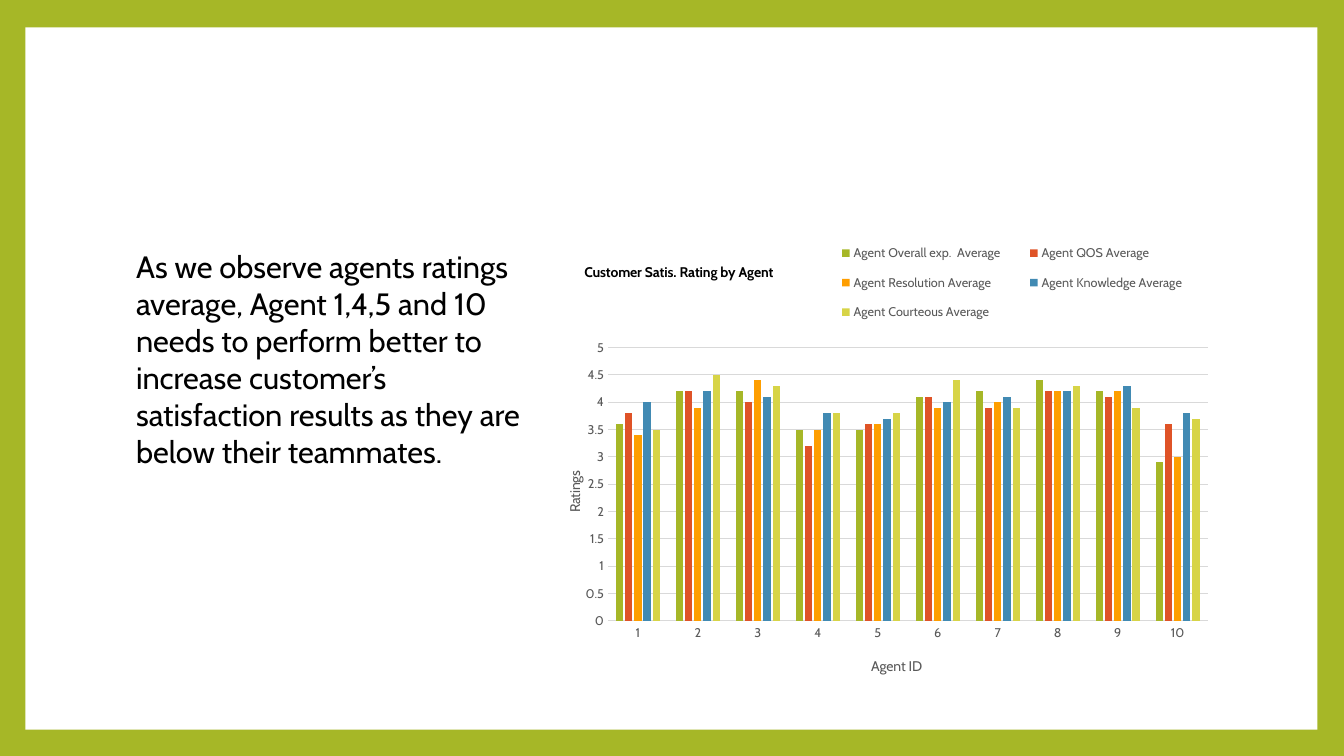
from lxml.etree import SubElement as Sub
from pptx import Presentation
from pptx.chart.data import CategoryChartData as Data
from pptx.dml.color import RGBColor as RGB
from pptx.enum.chart import XL_CHART_TYPE as Kind
from pptx.enum.chart import XL_LEGEND_POSITION as Place
from pptx.enum.chart import XL_TICK_MARK as Tick
from pptx.enum.shapes import MSO_SHAPE as Form
from pptx.oxml import parse_xml
from pptx.oxml.ns import nsdecls, qn
from pptx.util import Cm, Pt

LIME = RGB(0xA6, 0xB7, 0x27)
RED = RGB(0xDF, 0x53, 0x27)
AMBER = RGB(0xFE, 0x9E, 0x00)
BLUE = RGB(0x41, 0x8A, 0xB3)
STRAW = RGB(0xD7, 0xD4, 0x47)
WHITE = RGB(0xFF, 0xFF, 0xFF)
BLACK = RGB(0, 0, 0)
GREY = RGB(0x59, 0x59, 0x59)
PALE = RGB(0xD9, 0xD9, 0xD9)

NOTE = ("As we observe agents ratings average, Agent 1,4,5 and 10 needs to "
        "perform better to increase customer’s satisfaction results as they "
        "are below their teammates.")
AGENTS = [str(n) for n in range(1, 11)]
RATINGS = [
    ("Agent Overall exp.  Average", LIME,
     [3.6, 4.2, 4.2, 3.5, 3.5, 4.1, 4.2, 4.4, 4.2, 2.9]),
    ("Agent QOS Average", RED,
     [3.8, 4.2, 4, 3.2, 3.6, 4.1, 3.9, 4.2, 4.1, 3.6]),
    ("Agent Resolution Average", AMBER,
     [3.4, 3.9, 4.4, 3.5, 3.6, 3.9, 4, 4.2, 4.2, 3]),
    ("Agent Knowledge Average", BLUE,
     [4, 4.2, 4.1, 3.8, 3.7, 4, 4.1, 4.2, 4.3, 3.8]),
    ("Agent Courteous Average", STRAW,
     [3.5, 4.5, 4.3, 3.8, 3.8, 4.4, 3.9, 4.3, 3.9, 3.7]),
]


def style(font, size=9, color=GREY, bold=False, face="Cabin"):
    """Format a font."""
    font.name, font.size, font.bold = face, Pt(size), bold
    font.color.rgb = color


def write(frame, text, **form):
    """Put formatted text into a text frame."""
    run = frame.paragraphs[0].add_run()
    run.text = text
    style(run.font, **form)


def fix(node, left, top, wide=None, high=None, inner=False):
    """Place a chart part by fractions of the chart area."""
    for old in node.findall(qn("c:layout")):
        node.remove(old)
    layout = parse_xml(f"<c:layout {nsdecls('c')}><c:manualLayout/></c:layout>")
    rules = [("layoutTarget", "inner")] if inner else []
    rules += [("xMode", "edge"), ("yMode", "edge"), ("x", left), ("y", top)]
    if wide:
        rules += [("w", wide), ("h", high)]
    for tag, val in rules:
        Sub(layout[0], qn(f"c:{tag}")).set("val", str(val))
    lead = (qn("c:tx"), qn("c:legendPos"))
    node.insert(sum(child.tag in lead for child in node), layout)


class Deck:
    """Holds the presentation, its style and the current slide."""

    def __init__(self, wide, high, back):
        """Open one blank slide with a coloured background."""
        self.show = Presentation()
        self.show.slide_width, self.show.slide_height = wide, high
        self.slide = self.show.slides.add_slide(self.show.slide_layouts[6])
        fill = self.slide.background.fill
        fill.solid()
        fill.fore_color.rgb = back

    def panel(self, *box, color=WHITE):
        """Add a plain rectangle."""
        shape = self.slide.shapes.add_shape(Form.RECTANGLE, *box)
        shape.shadow.inherit = False
        shape.fill.solid()
        shape.fill.fore_color.rgb = color
        shape.line.fill.background()

    def text(self, words, *box, **form):
        """Add a wrapped text box."""
        frame = self.slide.shapes.add_textbox(*box).text_frame
        frame.word_wrap = True
        write(frame, words, **form)

    def title(self, owner, words, left, top, **form):
        """Title a chart or an axis at a fixed spot."""
        head = getattr(owner, "chart_title", None) or owner.axis_title
        write(head.text_frame, words, **form)
        fix(head._element, left, top)
        return head

    def axis(self, axis):
        """Format what both axes share."""
        axis.major_tick_mark = axis.minor_tick_mark = Tick.NONE
        style(axis.tick_labels.font)

    def columns(self, names, rows, *box):
        """Add the clustered column chart."""
        data = Data()
        data.categories = names
        for name, _, vals in rows:
            data.add_series(name, vals)
        chart = self.slide.shapes.add_chart(
            Kind.COLUMN_CLUSTERED, *box, data).chart
        style(chart.font, size=10, color=BLACK)
        plot = chart.plots[0]
        plot.gap_width, plot.overlap, plot.vary_by_categories = 219, -27, False
        for series, (_, color, _) in zip(plot.series, rows):
            series.format.fill.solid()
            series.format.fill.fore_color.rgb = color

        base, scale = chart.category_axis, chart.value_axis
        self.axis(base)
        self.axis(scale)
        scale.minimum_scale, scale.maximum_scale = 0, 5
        scale.major_unit = 0.5
        scale.format.line.fill.background()
        for line in (base.format.line, scale.major_gridlines.format.line):
            line.color.rgb, line.width = PALE, Pt(0.75)

        chart.has_legend = True
        chart.legend.position = Place.TOP
        chart.legend.include_in_layout = False
        style(chart.legend.font)
        fix(chart.legend._element, 0.39, 0.01, 0.6, 0.22)
        fix(chart._chartSpace.chart.plotArea, 0.07, 0.26, 0.92, 0.59, inner=True)

        self.title(chart, "Customer Satis. Rating by Agent", 0.03, 0.07,
                   size=10, color=BLACK, bold=True)
        self.title(base, "Agent ID", 0.47, 0.92, size=10)
        side = self.title(scale, "Ratings", 0, 0.52, size=10)
        turn = side.text_frame._txBody.bodyPr
        turn.set("rot", "-5400000")
        turn.set("vert", "horz")


deck = Deck(Cm(33.87), Cm(19.05), LIME)
deck.panel(Cm(0.64), Cm(0.69), Cm(32.56), Cm(17.7))
deck.columns(AGENTS, RATINGS, Cm(14.17), Cm(5.72), Cm(16.43), Cm(11.68))
deck.text(NOTE, Cm(3.18), Cm(6.12), Cm(10.46), Cm(5.89), size=22, color=BLACK)
deck.show.save("out.pptx")
